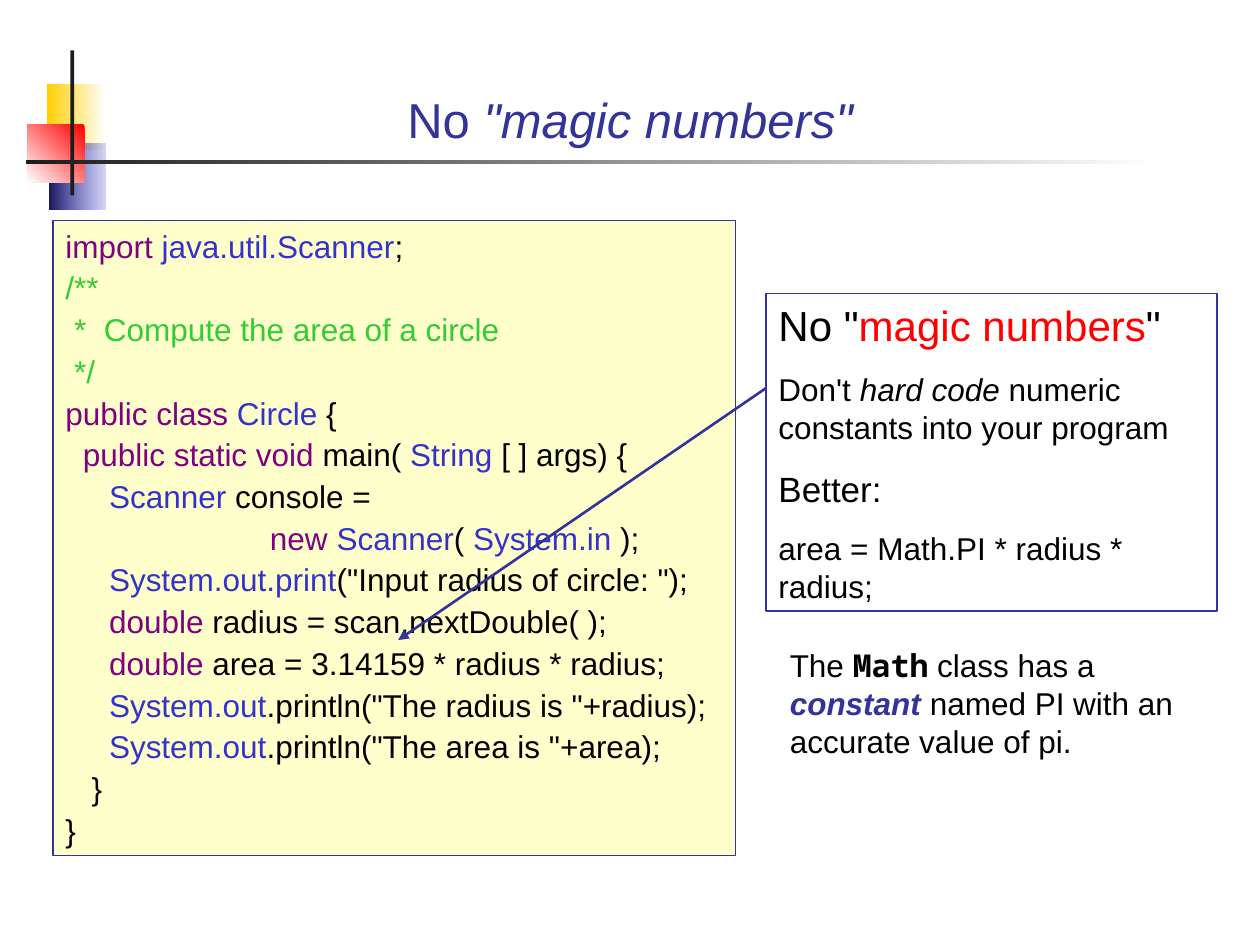
from lxml import etree
from pptx import Presentation
from pptx.dml.color import RGBColor
from pptx.enum.shapes import MSO_CONNECTOR, MSO_SHAPE
from pptx.enum.text import MSO_ANCHOR, PP_ALIGN
from pptx.oxml.ns import qn
from pptx.util import Pt

RECT = MSO_SHAPE.RECTANGLE
LINE = MSO_CONNECTOR.STRAIGHT
LEFT, MID = PP_ALIGN.LEFT, PP_ALIGN.CENTER
TOP, LOW = MSO_ANCHOR.TOP, MSO_ANCHOR.BOTTOM

HUES = {
    "text": "000000", "navy": "333399", "key": "800080", "type": "3333CC",
    "note": "33CC33", "red": "FF0000", "cream": "FFFFCC", "white": "FFFFFF",
    "gold": "FFCF01", "deep": "17175E", "dark": "1C1C1C",
}
FACE, MONO = "Arial", "Noto Sans Mono"
TAB = Pt(72)

# left, top, width, height, first hue, last hue, angle, opacity of the first hue
DECOR = [
    (26.64, 48.24, 33.84, 37.44, "white", "gold", 180, 100),
    (28.08, 82.08, 32.4, 37.44, "type", "deep", 180, 20),
    (15.84, 71.28, 32.4, 33.12, "red", "white", 225, 100),
    (40.32, 28.8, 2.16, 82.8, "dark", "dark", 180, 100),
    (15.12, 91.44, 647.28, 2.16, "white", "dark", 180, 100),
]

TITLE = [(28, 0, [("No", "navy", ""), (' "magic numbers"', "navy", "i")])]
ADVICE = [
    (24, 0, [('No "', "text", ""), ("magic numbers", "red", ""), ('"', "text", "")]),
    (18, 11.25, [("Don't ", "text", ""), ("hard code", "text", "i"),
                 (" numeric constants into your program", "text", "")]),
    (20, 12.5, [("Better:", "text", "")]),
    (18, 11.25, [("area = Math.PI * radius * radius;", "text", "")]),
]
REMARK = [(18, 0, [
    ("The ", "text", ""), ("Math", "text", "bm"), (" class has a ", "text", ""),
    ("constant", "navy", "bi"),
    (" named PI with an accurate value of pi.", "text", ""),
])]
CODE = [
    [("import ", "key"), ("java.util.Scanner", "type"), (";", "text")],
    [("/**", "note")],
    [(" *  Compute the area of a circle", "note")],
    [(" */", "note")],
    [("public class ", "key"), ("Circle", "type"), (" {", "text")],
    [("  public static void", "key"), (" main( ", "text"), ("String", "type"),
     (" [ ] args) {", "text")],
    [("     Scanner", "type"), (" console =", "text")],
    [("\t         new ", "key"), ("Scanner", "type"), ("( ", "text"),
     ("System.in", "type"), (" );", "text")],
    [("     System.out.print", "type"), ('("Input radius of circle: ");', "text")],
    [("     double", "key"), (" radius = scan.nextDouble( );", "text")],
    [("     double", "key"), (" area = 3.14159 * radius * radius;", "text")],
    [("     System.out", "type"), ('.println("The radius is "+radius);', "text")],
    [("     System.out", "type"), ('.println("The area is "+area);', "text")],
    [("   }", "text")],
    [("}", "text")],
]
LISTING = [(18, 2.25 if row else 0, [(*part, "") for part in runs])
           for row, runs in enumerate(CODE)]


def hue(name):
    return RGBColor.from_string(HUES[name])


def place(shape, box):
    shape.left, shape.top, shape.width, shape.height = map(Pt, box)


def write(shape, paras, align=LEFT, anchor=TOP):
    frame = shape.text_frame
    frame.word_wrap = True
    frame.vertical_anchor = anchor
    frame.margin_left = frame.margin_right = Pt(7.2)
    frame.margin_top = frame.margin_bottom = Pt(3.6)
    for row, (size, gap, runs) in enumerate(paras):
        para = frame.add_paragraph() if row else frame.paragraphs[0]
        para.alignment = align
        para.line_spacing = 1.0
        para.space_before = Pt(gap)
        tabs = etree.SubElement(para._p.get_or_add_pPr(), qn("a:tabLst"))
        etree.SubElement(tabs, qn("a:tab"), pos=str(TAB), algn="l")
        para.font.size = Pt(size)
        para.font.name = FACE
        for text, tint, style in runs:
            run = para.add_run()
            run.text = text
            run.font.color.rgb = hue(tint)
            if "b" in style:
                run.font.bold = True
            if "i" in style:
                run.font.italic = True
            if "m" in style:
                run.font.name = MONO


def panel(slide, box, fill=None):
    shape = slide.shapes.add_shape(RECT, *map(Pt, box))
    shape.shadow.inherit = False
    if fill:
        shape.fill.solid()
        shape.fill.fore_color.rgb = hue(fill)
    else:
        shape.fill.background()
    shape.line.color.rgb = hue("navy")
    shape.line.width = Pt(0.75)
    return shape


def adorn(slide):
    for *box, first, last, angle, alpha in DECOR:
        shape = panel(slide, box, first)
        shape.line.fill.background()
        if first == last:
            continue
        shape.fill.gradient()
        shape.fill.gradient_angle = angle
        for stop, name in zip(shape.fill.gradient_stops, (first, last)):
            stop.color.rgb = hue(name)
        if alpha < 100:
            tint = next(shape._element.spPr.iter(qn("a:srgbClr")))
            etree.SubElement(tint, qn("a:alpha"), val=str(alpha * 1000))


def point(slide, start, end):
    arrow = slide.shapes.add_connector(LINE, *map(Pt, start + end))
    arrow.line.color.rgb = hue("navy")
    arrow.line.width = Pt(1.5)
    etree.SubElement(arrow.line._get_or_add_ln(), qn("a:tailEnd"), type="triangle")
    etree.SubElement(arrow._element.spPr, qn("a:effectLst"))


def main():
    """Build the slide on magic numbers."""
    deck = Presentation()
    deck.slide_width, deck.slide_height = Pt(720), Pt(540)
    slide = deck.slides.add_slide(deck.slide_layouts[5])
    adorn(slide)
    title = slide.shapes.title
    slide.shapes._spTree.append(title._element)
    place(title, (48.24, 20.16, 623.52, 68.4))
    write(title, TITLE, MID, LOW)
    write(panel(slide, (437.76, 167.76, 257.76, 181.44)), ADVICE)
    remark = slide.shapes.add_textbox(*map(Pt, (444.24, 365.76, 252, 72)))
    write(remark, REMARK)
    write(panel(slide, (30.24, 126, 390.24, 362.88), "cream"), LISTING)
    point(slide, (437.76, 221.76), (227.52, 365.76))
    deck.save("out.pptx")


if __name__ == "__main__":
    main()
